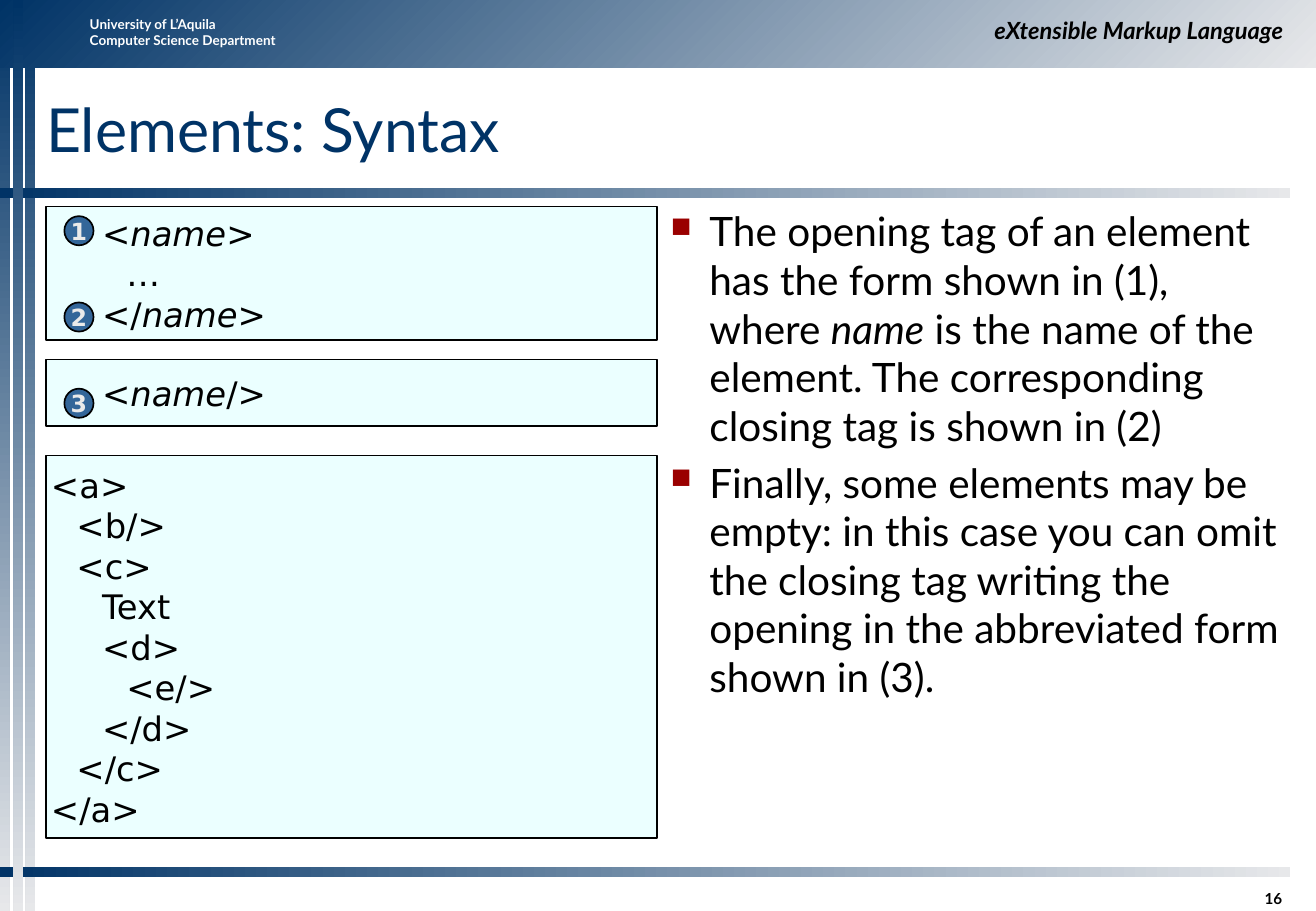
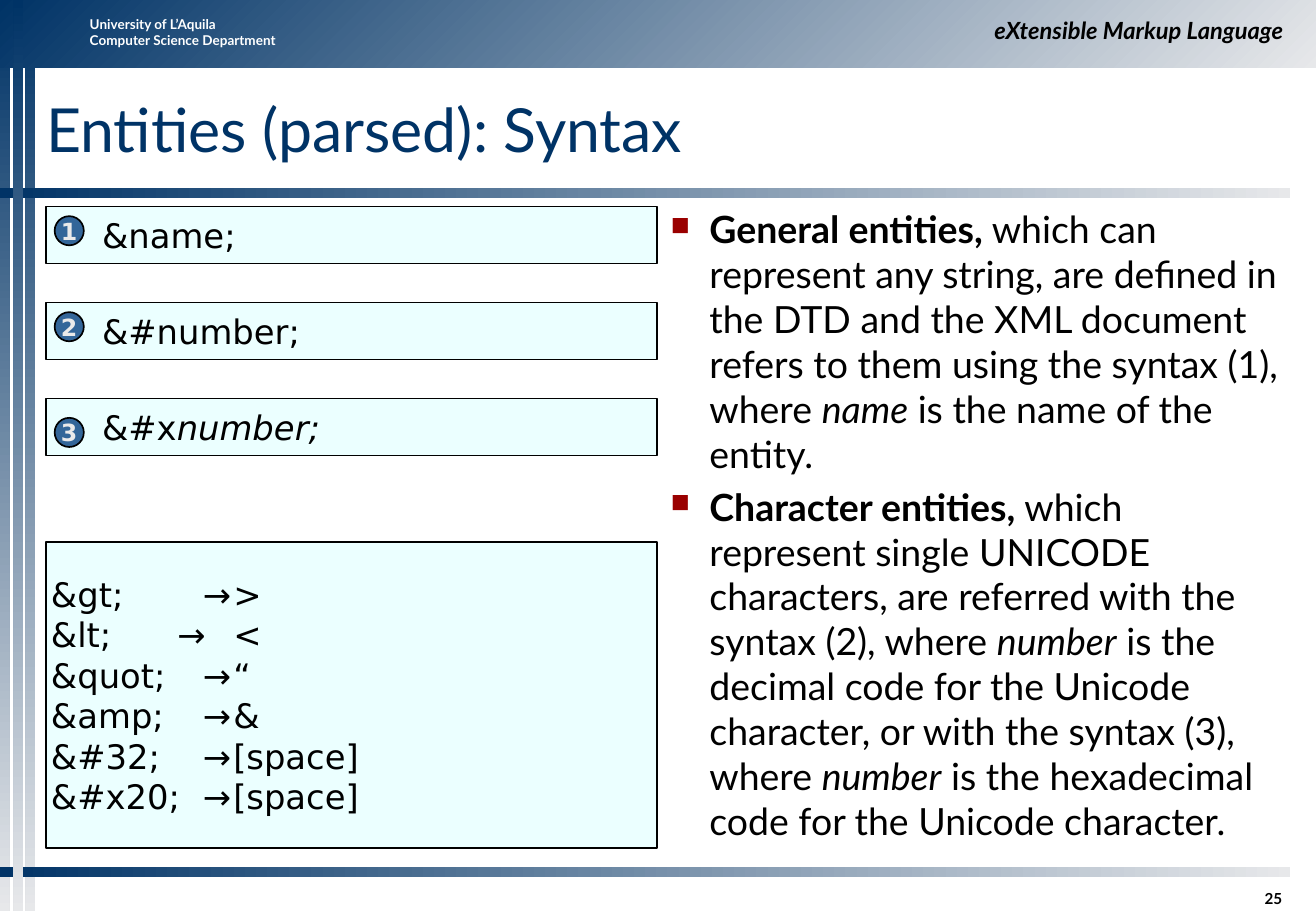
from dataclasses import dataclass

from lxml.etree import SubElement
from pptx import Presentation
from pptx.dml.color import RGBColor
from pptx.enum.shapes import MSO_SHAPE
from pptx.enum.text import MSO_ANCHOR, PP_ALIGN
from pptx.oxml.ns import qn
from pptx.util import Inches, Pt

# Content: a line is a string, or a list of (text, style) spans; b bold, i italic
DEPARTMENT = "University of L’Aquila\vComputer Science Department"
COURSE = "eXtensible Markup Language"

SLIDES = [
    {
        "number": "16",
        "title": "Elements: Syntax",
        "body_size": 24,
        "body": [
            [("The opening tag of an element has the form shown in (1), where ", ""),
             ("name", "i"),
             (" is the name of the element. The corresponding closing tag is shown in (2)", "")],
            "Finally, some elements may be empty: in this case you can omit the closing tag "
            "writing the opening in the abbreviated form shown in (3).",
        ],
        "code": [  # top, height, lines
            (1.7, 1.1, [[("\t\t<", ""), ("name", "i"), (">", "")],
                        "\t\t\t…",
                        [("\t\t</", ""), ("name", "i"), (">", "")]]),
            (2.96, 0.55, [[("\t\t<", ""), ("name", "i"), ("/>", "")]]),
            (3.75, 3.15, ["<a>", "\t<b/>", "\t<c>", "\t\tText", "\t\t<d>",
                          "\t\t\t<e/>", "\t\t</d>", "\t</c>", "</a>"]),
        ],
        "badge_left": 0.53,
        "badge_tops": [1.78, 2.49, 3.2],
    },
    {
        "number": "25",
        "title": "Entities (parsed): Syntax",
        "body_size": 22.2,
        "body": [
            [("General entities,", "b"),
             (" which can represent any string, are defined in the DTD and the XML document "
              "refers to them using the syntax (1), where ", ""),
             ("name", "i"), (" is the name of the entity.", "")],
            [("Character entities,", "b"),
             (" which represent single UNICODE characters, are referred with the syntax (2), "
              "where ", ""),
             ("number", "i"),
             (" is the decimal code for the Unicode character, or with the syntax (3), where ", ""),
             ("number", "i"), (" is the hexadecimal code for the Unicode character.", "")],
        ],
        "code": [
            (1.7, 0.47, ["\t\t&name;"]),
            (2.49, 0.47, ["\t\t&#number;"]),
            (3.28, 0.47, [[("\t\t&#x", ""), ("number;", "i")]]),
            (4.46, 2.52, ["&gt; \t\t\t→\t>", "&lt; \t\t\t→\t<", "&quot;\t \t→\t“",
                          "&amp;\t\t→\t&", "&#32;\t\t→\t[space]", "&#x20;\t→\t[space]"]),
        ],
        "badge_left": 0.45,
        "badge_tops": [1.78, 2.57, 3.44],
    },
]


@dataclass(frozen=True)
class Theme:
    text_font: str = "Lato"
    code_font: str = "DejaVu Sans"
    navy: str = "003366"
    pale: str = "E7E8EA"
    white: str = "FFFFFF"
    black: str = "000000"
    code_fill: str = "EBFFFF"
    badge_fill: str = "336699"
    badge_text: str = "EAEAEA"
    bullet: str = "9A0000"
    title_size: float = 36
    code_size: float = 20
    course_size: float = 14
    badge_size: float = 14
    number_size: float = 9
    department_size: float = 8


THEME = Theme()
BAR = 0.08
LEFT = 0.38
COLUMN_TOP = 1.7
CODE_WIDTH = 5.03
BADGE = 0.24
TAB_STOPS = [round(1.25 * step / 6, 2) for step in range(1, 7)]


def write(shape, lines, size, color, font=THEME.text_font, bold=False, italic=False,
          align=PP_ALIGN.LEFT, anchor=MSO_ANCHOR.TOP, insets=(0.1, 0.05, 0.1, 0.05), wrap=True):
    """Fill a shape with lines of text and return its paragraphs."""
    frame = shape.text_frame
    frame.word_wrap = wrap
    frame.vertical_anchor = anchor
    (frame.margin_left, frame.margin_top,
     frame.margin_right, frame.margin_bottom) = map(Inches, insets)
    for index, line in enumerate(lines):
        para = frame.add_paragraph() if index else frame.paragraphs[0]
        para.alignment = align
        styles = ["", ""]
        if isinstance(line, str):
            para.text = line
        else:
            styles = [style for _, style in line]
            for text, _ in line:
                para.add_run().text = text
        for span, style in zip(para.runs, styles):
            span.font.name = font
            span.font.size = Pt(size)
            span.font.color.rgb = RGBColor.from_string(color)
            span.font.bold = bold or style == "b"
            span.font.italic = italic or style == "i"
    return frame.paragraphs


def add_text(page, place, lines, size, color, **options):
    box = page.shapes.add_textbox(*map(Inches, place))
    return write(box, lines, size, color, **options)


def add_panel(page, kind, place, fill):
    panel = page.shapes.add_shape(kind, *map(Inches, place))
    panel.shadow.inherit = False
    panel.fill.solid()
    panel.fill.fore_color.rgb = RGBColor.from_string(fill)
    panel.line.color.rgb = RGBColor.from_string(THEME.black)
    panel.line.width = Pt(1)
    return panel


def add_band(page, place, clockwise):
    band = page.shapes.add_shape(MSO_SHAPE.RECTANGLE, *map(Inches, place))
    band.shadow.inherit = False
    band.line.fill.background()
    band.fill.gradient()
    band.fill.gradient_angle = 360 - clockwise
    for stop, color in zip(band.fill.gradient_stops, (THEME.navy, THEME.pale)):
        stop.color.rgb = RGBColor.from_string(color)


def add_bullet(para, size):
    para.space_before = Pt(round(size * 0.2, 1))
    properties = para._p.get_or_add_pPr()
    properties.set("marL", str(Inches(0.32)))
    properties.set("indent", str(-Inches(0.32)))
    color = SubElement(properties, qn("a:buClr"))
    SubElement(color, qn("a:srgbClr"), val=THEME.bullet)
    SubElement(properties, qn("a:buSzPct"), val="70000")
    SubElement(properties, qn("a:buChar"), char="■")


def add_tab_stops(para):
    stops = SubElement(para._p.get_or_add_pPr(), qn("a:tabLst"))
    for position in TAB_STOPS:
        SubElement(stops, qn("a:tab"), pos=str(Inches(position)), algn="l")


def add_frame(page, number, title):
    """Bands, header, title and page number shared by every slide."""
    for left in (0, 0.21):
        add_band(page, (left, 0, BAR, 7.5), 90)
    add_band(page, (0, 0, 10.83, 0.56), 45)
    for top in (1.55, 7.14):
        add_band(page, (0, top, 10.62, BAR), 0)
    add_band(page, (0.11, 0, BAR, 7.5), 90)
    add_text(page, (0.64, 0.08, 2.01, 0.37), [DEPARTMENT],
             THEME.department_size, THEME.white, bold=True)
    add_text(page, (9.47, 7.22, 1.18, 0.25), [number], THEME.number_size, THEME.black,
             bold=True, align=PP_ALIGN.RIGHT, anchor=MSO_ANCHOR.BOTTOM,
             insets=(0.1, 0.05, 0.1, 0))
    add_text(page, (5.42, 0.08, 5.24, 0.33), [COURSE], THEME.course_size, THEME.black,
             bold=True, italic=True, align=PP_ALIGN.RIGHT, anchor=MSO_ANCHOR.BOTTOM)
    add_text(page, (LEFT, 0.58, 10.27, 0.96), [title], THEME.title_size, THEME.navy,
             anchor=MSO_ANCHOR.MIDDLE, insets=(0, 0, 0, 0))


deck = Presentation()
deck.slide_width, deck.slide_height = Inches(10.83), Inches(7.5)

for content in SLIDES:
    page = deck.slides.add_slide(deck.slide_layouts[6])
    add_frame(page, content["number"], content["title"])

    # Explanation on the right
    for para in add_text(page, (5.42, COLUMN_TOP, 5.24, 5.42), content["body"],
                         content["body_size"], THEME.black, insets=(0.1, 0, 0.1, 0)):
        add_bullet(para, content["body_size"])

    # Code boxes on the left
    for top, height, lines in content["code"]:
        panel = add_panel(page, MSO_SHAPE.RECTANGLE, (LEFT, top, CODE_WIDTH, height),
                          THEME.code_fill)
        for para in write(panel, lines, THEME.code_size, THEME.black, font=THEME.code_font,
                          anchor=MSO_ANCHOR.MIDDLE, insets=(0.04,) * 4):
            add_tab_stops(para)

    # Numbered badges
    for number, top in enumerate(content["badge_tops"], start=1):
        badge = add_panel(page, MSO_SHAPE.OVAL, (content["badge_left"], top, BADGE, BADGE),
                          THEME.badge_fill)
        write(badge, [str(number)], THEME.badge_size, THEME.badge_text, font=THEME.code_font,
              bold=True, align=PP_ALIGN.CENTER, anchor=MSO_ANCHOR.MIDDLE,
              insets=(0,) * 4, wrap=False)

deck.save("out.pptx")
